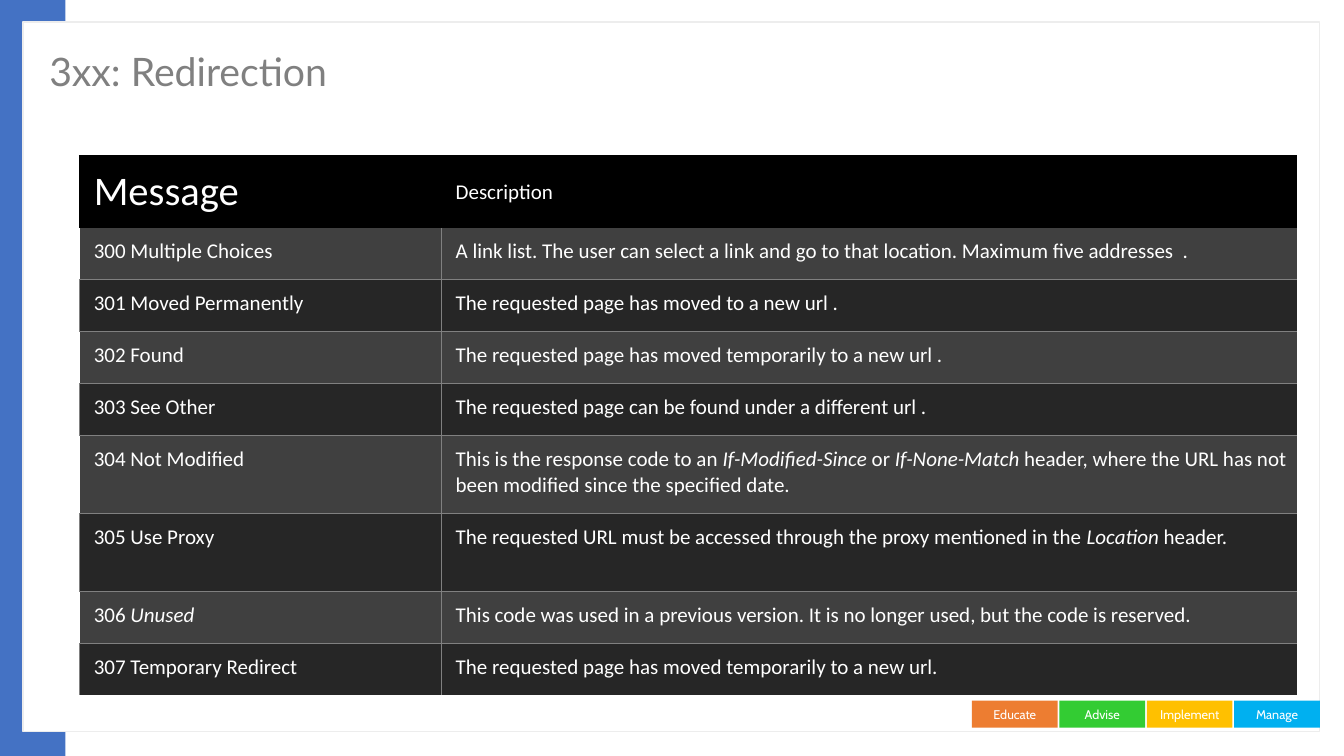
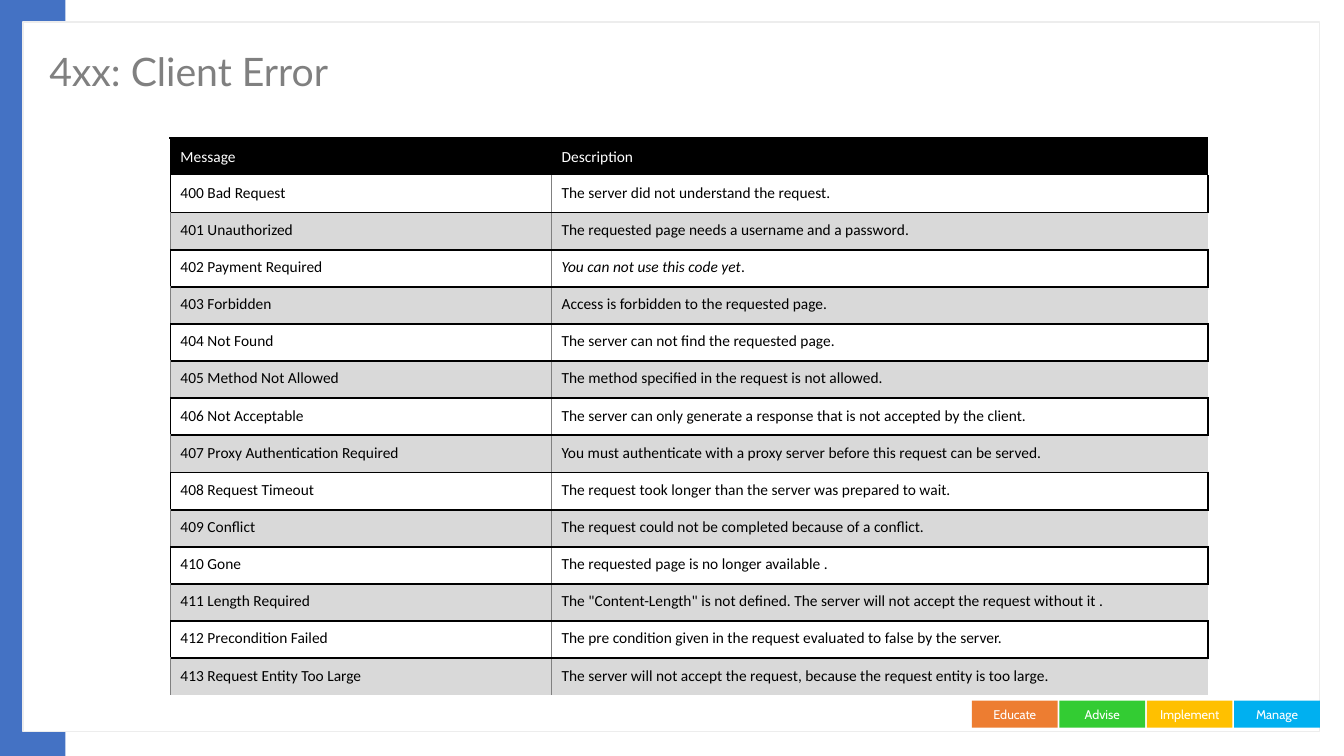
"""Build two slides that list HTTP status messages in bordered tables."""
from lxml import etree
from pptx import Presentation
from pptx.dml.color import RGBColor
from pptx.enum.shapes import MSO_SHAPE
from pptx.enum.text import MSO_ANCHOR, PP_ALIGN
from pptx.oxml.ns import qn
from pptx.util import Inches, Pt

RECT = MSO_SHAPE.RECTANGLE
MIDDLE, TOP = MSO_ANCHOR.MIDDLE, MSO_ANCHOR.TOP
CENTER = PP_ALIGN.CENTER

WHITE = RGBColor(0xFF, 0xFF, 0xFF)
BLACK = RGBColor(0x00, 0x00, 0x00)
GRAY = RGBColor(0x80, 0x80, 0x80)
FRAME = RGBColor(0xED, 0xED, 0xED)
BLUE = RGBColor(0x44, 0x72, 0xC4)
ORANGE = RGBColor(0xED, 0x7D, 0x31)
GREEN = RGBColor(0x33, 0xCC, 0x33)
GOLD = RGBColor(0xFF, 0xC0, 0x00)
SKY = RGBColor(0x00, 0xB0, 0xF0)
CHARCOAL = RGBColor(0x40, 0x40, 0x40)
COAL = RGBColor(0x26, 0x26, 0x26)
SILVER = RGBColor(0xD9, 0xD9, 0xD9)

NO_GRID = "{2D5ABB26-0587-4C30-8999-92F81FD0307C}"
THIN, THICK = (GRAY, 0.5), (BLACK, 1.5)
TAGS = [("Educate", ORANGE), ("Advise", GREEN), ("Implement", GOLD), ("Manage", SKY)]
TAG_LEFT, TAG_TOP, TAG_W, TAG_H, TAG_PITCH = 9.64, 6.95, 0.85, 0.27, 0.867

HEADER = ("Message", "Description")
REDIRECTION = [
    ("300 Multiple Choices",
     "A link list. The user can select a link and go to that location. Maximum five addresses  ."),
    ("301 Moved Permanently", "The requested page has moved to a new url ."),
    ("302 Found", "The requested page has moved temporarily to a new url ."),
    ("303 See Other", "The requested page can be found under a different url ."),
    ("304 Not Modified",
     "This is the response code to an *If-Modified-Since* or *If-None-Match* header, "
     "where the URL has not been modified since the specified date."),
    ("305 Use Proxy",
     "The requested URL must be accessed through the proxy mentioned in the *Location* header."),
    ("306 *Unused*",
     "This code was used in a previous version. It is no longer used, but the code is reserved."),
    ("307 Temporary Redirect", "The requested page has moved temporarily to a new url."),
]
CLIENT_ERROR = [
    ("400 Bad Request", "The server did not understand the request."),
    ("401 Unauthorized", "The requested page needs a username and a password."),
    ("402 Payment Required", "*You can not use this code yet*."),
    ("403 Forbidden", "Access is forbidden to the requested page."),
    ("404 Not Found", "The server can not find the requested page."),
    ("405 Method Not Allowed", "The method specified in the request is not allowed."),
    ("406 Not Acceptable",
     "The server can only generate a response that is not accepted by the client."),
    ("407 Proxy Authentication Required",
     "You must authenticate with a proxy server before this request can be served."),
    ("408 Request Timeout", "The request took longer than the server was prepared to wait."),
    ("409 Conflict", "The request could not be completed because of a conflict."),
    ("410 Gone", "The requested page is no longer available ."),
    ("411 Length Required",
     'The "Content-Length" is not defined. The server will not accept the request without it .'),
    ("412 Precondition Failed",
     "The pre condition given in the request evaluated to false by the server."),
    ("413 Request Entity Too Large",
     "The server will not accept the request, because the request entity is too large."),
]

SLIDES = [
    dict(title="3xx: Redirection", rows=REDIRECTION, at=(0.79, 1.55, 12.07, 5.35),
         cols=(3.59, 8.48), header_h=0.71, tall=(4, 5), sizes=(29, 15), body_size=15,
         insets=(0.14, 0.11, 0.03, 0.11), color=WHITE, fills=(CHARCOAL, COAL),
         header_lines=(dict(L=THICK, T=THICK), dict(T=THICK)),
         lines=((dict(R=THIN, B=THIN), dict(L=THIN, B=THIN)),
                (dict(L=THIN, T=THIN, R=THIN), dict(L=THIN, T=THIN)))),
    dict(title="4xx: Client Error", rows=CLIENT_ERROR, at=(1.69, 1.37, 10.29, 5.53),
         cols=(3.78, 6.51), header_h=0.37, tall=(), sizes=(11, 11), body_size=11,
         insets=(0.1, 0.08, 0.02, 0.08), color=BLACK, fills=(None, SILVER),
         header_lines=(dict(L=THICK, T=THICK, R=THICK), dict(L=THICK, T=THICK)),
         lines=((dict(L=THICK, R=THIN, B=THICK), dict(L=THIN, R=THICK, B=THICK)),
                (dict(L=THIN, T=THICK, R=THIN), dict(L=THIN, T=THICK)))),
]


def style_runs(p, font, size, color):
    for r in p.runs:
        r.font.name, r.font.size, r.font.color.rgb = font, Pt(size), color


def add_rect(s, at, fill, line=None):
    sp = s.shapes.add_shape(RECT, *map(Inches, at))
    sp.shadow.inherit = False
    sp.fill.solid()
    sp.fill.fore_color.rgb = fill
    if line:
        sp.line.color.rgb, sp.line.width = line, Pt(1)
    else:
        sp.line.fill.background()
    return sp


def add_base(prs, title):
    s = prs.slides.add_slide(prs.slide_layouts[6])
    add_rect(s, (0, 0, 0.65, 7.5), BLUE)
    add_rect(s, (0.23, 0.22, 12.86, 7.04), WHITE, FRAME)
    for i, (label, color) in enumerate(TAGS):
        sp = add_rect(s, (TAG_LEFT + i * TAG_PITCH, TAG_TOP, TAG_W, TAG_H), color)
        tf = sp.text_frame
        tf.text, tf.vertical_anchor = label, MIDDLE
        p = tf.paragraphs[0]
        p.alignment = CENTER
        style_runs(p, "Cabin", 9, WHITE)
    tf = s.shapes.add_textbox(*map(Inches, (0.39, 0.3, 10.32, 0.87))).text_frame
    tf.word_wrap, tf.vertical_anchor, tf.text = True, MIDDLE, title
    p = tf.paragraphs[0]
    p.line_spacing, p.space_after = 0.9, Pt(6)
    style_runs(p, "Lato", 28, GRAY)
    return s


def set_borders(cell, lines):
    tc_pr = cell._tc.get_or_add_tcPr()
    for i, side in enumerate(side for side in "LRTB" if side in lines):
        color, width = lines[side]
        ln = etree.Element(qn(f"a:ln{side}"), w=str(Pt(width)))
        fill = etree.SubElement(ln, qn("a:solidFill"))
        etree.SubElement(fill, qn("a:srgbClr"), val=str(color))
        tc_pr.insert(i, ln)


def fill_cell(cell, text, size, color, fill, insets, anchor, lines):
    (cell.margin_left, cell.margin_top,
     cell.margin_right, cell.margin_bottom) = map(Inches, insets)
    cell.vertical_anchor = anchor
    if fill is None:
        cell.fill.background()
    else:
        cell.fill.solid()
        cell.fill.fore_color.rgb = fill
    p = cell.text_frame.paragraphs[0]
    for i, part in enumerate(text.split("*")):
        if part:
            r = p.add_run()
            r.text, r.font.italic = part, i % 2 == 1
    style_runs(p, "Calibri", size, color)
    set_borders(cell, lines)


def add_status_table(s, d):
    rows = d["rows"]
    table = s.shapes.add_table(len(rows) + 1, len(HEADER), *map(Inches, d["at"])).table
    table.first_row = table.horz_banding = False
    table._tbl.tblPr.find(qn("a:tableStyleId")).text = NO_GRID
    for col, width in zip(table.columns, d["cols"]):
        col.width = Inches(width)
    units = [3 if i in d["tall"] else 2 for i in range(len(rows))]
    unit_h = (d["at"][3] - d["header_h"]) / sum(units)
    for row, height in zip(table.rows, [d["header_h"]] + [u * unit_h for u in units]):
        row.height = Inches(height)
    for c, text in enumerate(HEADER):
        fill_cell(table.cell(0, c), text, d["sizes"][c], WHITE, BLACK, d["insets"],
                  MIDDLE, d["header_lines"][c])
    for i, row in enumerate(rows):
        for c, text in enumerate(row):
            fill_cell(table.cell(i + 1, c), text, d["body_size"], d["color"],
                      d["fills"][i % 2], d["insets"], TOP, d["lines"][i % 2][c])


def main():
    prs = Presentation()
    prs.slide_width, prs.slide_height = Inches(13.33), Inches(7.5)
    for d in SLIDES:
        add_status_table(add_base(prs, d["title"]), d)
    prs.save("out.pptx")


if __name__ == "__main__":
    main()
